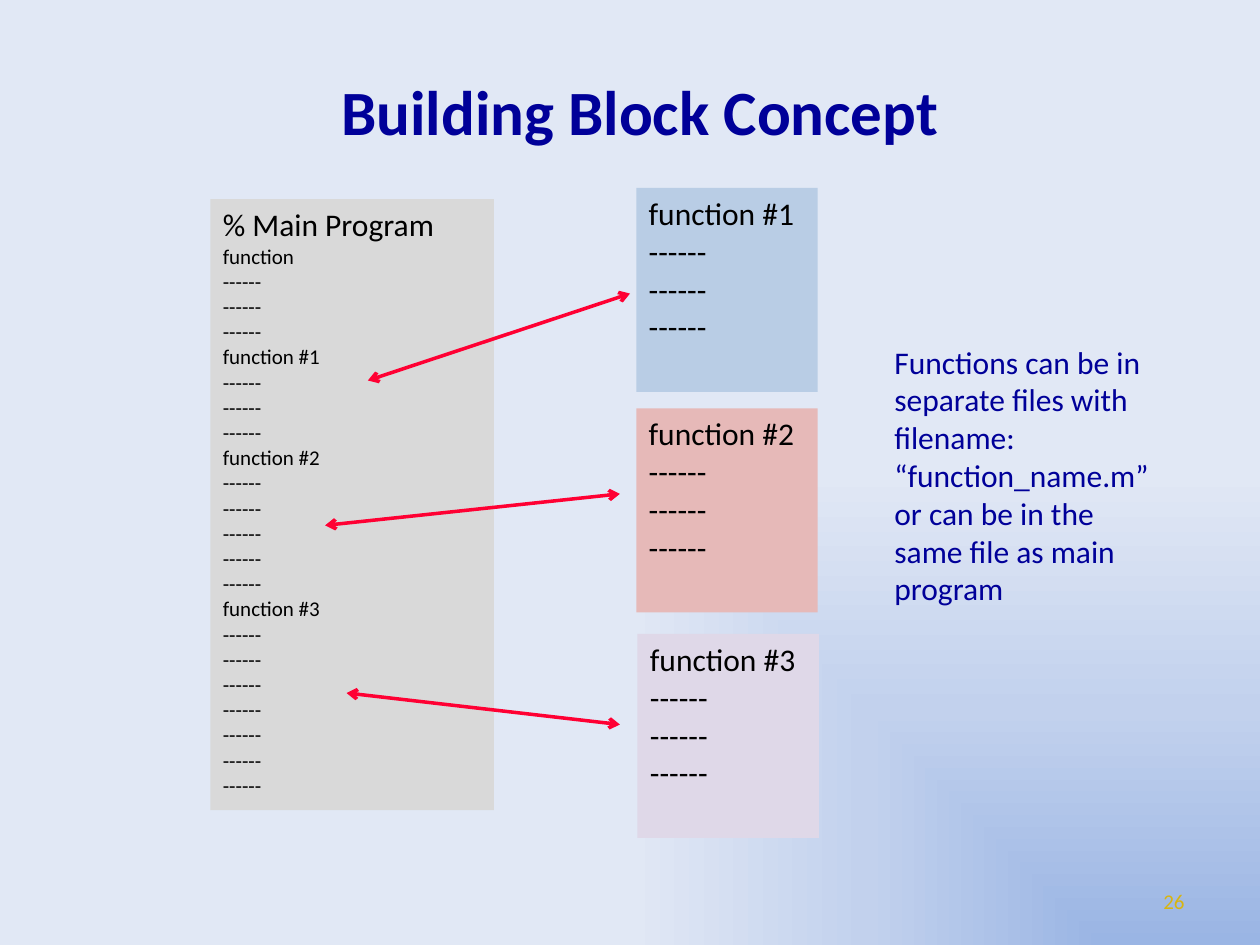
from typing import NamedTuple

from lxml import etree
from pptx import Presentation
from pptx.dml.color import RGBColor
from pptx.enum.shapes import MSO_CONNECTOR, MSO_SHAPE
from pptx.enum.text import MSO_ANCHOR, PP_ALIGN
from pptx.oxml import parse_xml
from pptx.oxml.ns import nsdecls, qn
from pptx.util import Inches, Pt

FONT = "Calibri"
DASHES = "------"
COLORS = {
    "navy": "000099",
    "black": "000000",
    "gold": "D8B511",
    "red": "FF0033",
    "gray": "D9D9D9",
    "blue": "B9CDE5",
    "pink": "E6B9B8",
    "lilac": "DFD8E8",
}
BACKGROUND_STOPS = {0: "9AB5E4", 50: "C2D1ED", 100: "E1E8F5"}


class Box(NamedTuple):
    left: float
    top: float
    width: float
    height: float

    def lengths(self) -> list:
        return [Inches(value) for value in self]


class CodeBlock(NamedTuple):
    box: Box
    fill: str
    lines: list[str]
    body_size: int


class Call(NamedTuple):
    start: tuple[float, float]
    end: tuple[float, float]


# Dashed statements following each heading of the main program
MAIN_SECTIONS = [("function", 3), ("function #1", 3), ("function #2", 5), ("function #3", 7)]
main_lines = ["% Main Program"]
for heading, statement_count in MAIN_SECTIONS:
    main_lines += [heading] + [DASHES] * statement_count

FUNCTION_PLACES = [(5.05, 1.49, "blue"), (5.05, 3.24, "pink"), (5.06, 5.03, "lilac")]
CODE_BLOCKS = [CodeBlock(Box(1.67, 1.58, 2.25, 4.85), "gray", main_lines, 12)] + [
    CodeBlock(Box(left, top, 1.44, 1.62), fill, [f"function #{number}"] + [DASHES] * 3, 18)
    for number, (left, top, fill) in enumerate(FUNCTION_PLACES, start=1)
]
CALLS = [
    Call((2.92, 3.02), (5, 2.33)),
    Call((2.58, 4.17), (4.92, 3.92)),
    Call((2.75, 5.5), (4.92, 5.75)),
]


def rgb(name: str) -> RGBColor:
    return RGBColor.from_string(COLORS[name])


def format_paragraph(paragraph, size: int, color: str, bold: bool = False,
                     align: PP_ALIGN = PP_ALIGN.LEFT) -> None:
    paragraph.alignment = align
    paragraph.font.name = FONT
    paragraph.font.size = Pt(size)
    paragraph.font.bold = bold
    paragraph.font.color.rgb = rgb(color)


def paint_background(slide) -> None:
    slide.background.fill.solid()
    properties = slide.element.find(".//" + qn("p:bgPr"))
    stops = "".join(
        f'<a:gs pos="{position * 1000}"><a:srgbClr val="{color}"/></a:gs>'
        for position, color in BACKGROUND_STOPS.items()
    )
    properties[0] = parse_xml(
        f'<a:gradFill {nsdecls("a")} rotWithShape="1"><a:gsLst>{stops}</a:gsLst>'
        '<a:path path="rect"><a:fillToRect l="100000" t="100000"/></a:path></a:gradFill>'
    )


def add_label(slide, box: Box, text: str, size: int, color: str,
              align: PP_ALIGN = PP_ALIGN.LEFT, anchor: MSO_ANCHOR = MSO_ANCHOR.TOP) -> None:
    frame = slide.shapes.add_textbox(*box.lengths()).text_frame
    frame.word_wrap = True
    frame.vertical_anchor = anchor
    frame.text = text
    format_paragraph(frame.paragraphs[0], size, color, align=align)


def add_code_block(slide, block: CodeBlock) -> None:
    panel = slide.shapes.add_shape(MSO_SHAPE.RECTANGLE, *block.box.lengths())
    panel.shadow.inherit = False
    panel.fill.solid()
    panel.fill.fore_color.rgb = rgb(block.fill)
    panel.line.fill.background()
    frame = panel.text_frame
    frame.word_wrap = True
    frame.vertical_anchor = MSO_ANCHOR.TOP
    frame.text = "\n".join(block.lines)
    for index, paragraph in enumerate(frame.paragraphs):
        format_paragraph(paragraph, block.body_size if index else 18, "black")


def add_call_arrow(slide, call: Call) -> None:
    arrow = slide.shapes.add_connector(
        MSO_CONNECTOR.STRAIGHT, *(Inches(value) for value in call.start + call.end)
    )
    arrow.line.color.rgb = rgb("red")
    arrow.line.width = Pt(2)
    outline = arrow.line._get_or_add_ln()
    for end in ("a:headEnd", "a:tailEnd"):
        etree.SubElement(outline, qn(end), type="arrow")
    etree.SubElement(arrow._element.spPr, qn("a:effectLst"))


def main() -> None:
    presentation = Presentation()
    presentation.slide_width = Inches(10)
    presentation.slide_height = Inches(7.5)
    slide = presentation.slides.add_slide(presentation.slide_layouts[5])
    paint_background(slide)

    # Title
    title = slide.shapes.title
    title.left, title.top, title.width, title.height = Box(0.58, 0.25, 9, 1.25).lengths()
    title.text_frame.text = "Building Block Concept"
    title.text_frame.vertical_anchor = MSO_ANCHOR.MIDDLE
    format_paragraph(title.text_frame.paragraphs[0], 36, "navy", True, PP_ALIGN.CENTER)

    # Main program, its functions and the calls between them
    for block in CODE_BLOCKS:
        add_code_block(slide, block)
    for call in CALLS:
        add_call_arrow(slide, call)

    # Side note and slide number
    add_label(
        slide, Box(7, 2.67, 2.25, 2.22),
        "Functions can be in separate files with filename: “function_name.m” "
        "or can be in the same file as main program",
        18, "navy",
    )
    add_label(slide, Box(7.17, 6.95, 2.33, 0.4), "26", 12, "gold",
              PP_ALIGN.RIGHT, MSO_ANCHOR.MIDDLE)

    presentation.save("out.pptx")


if __name__ == "__main__":
    main()
